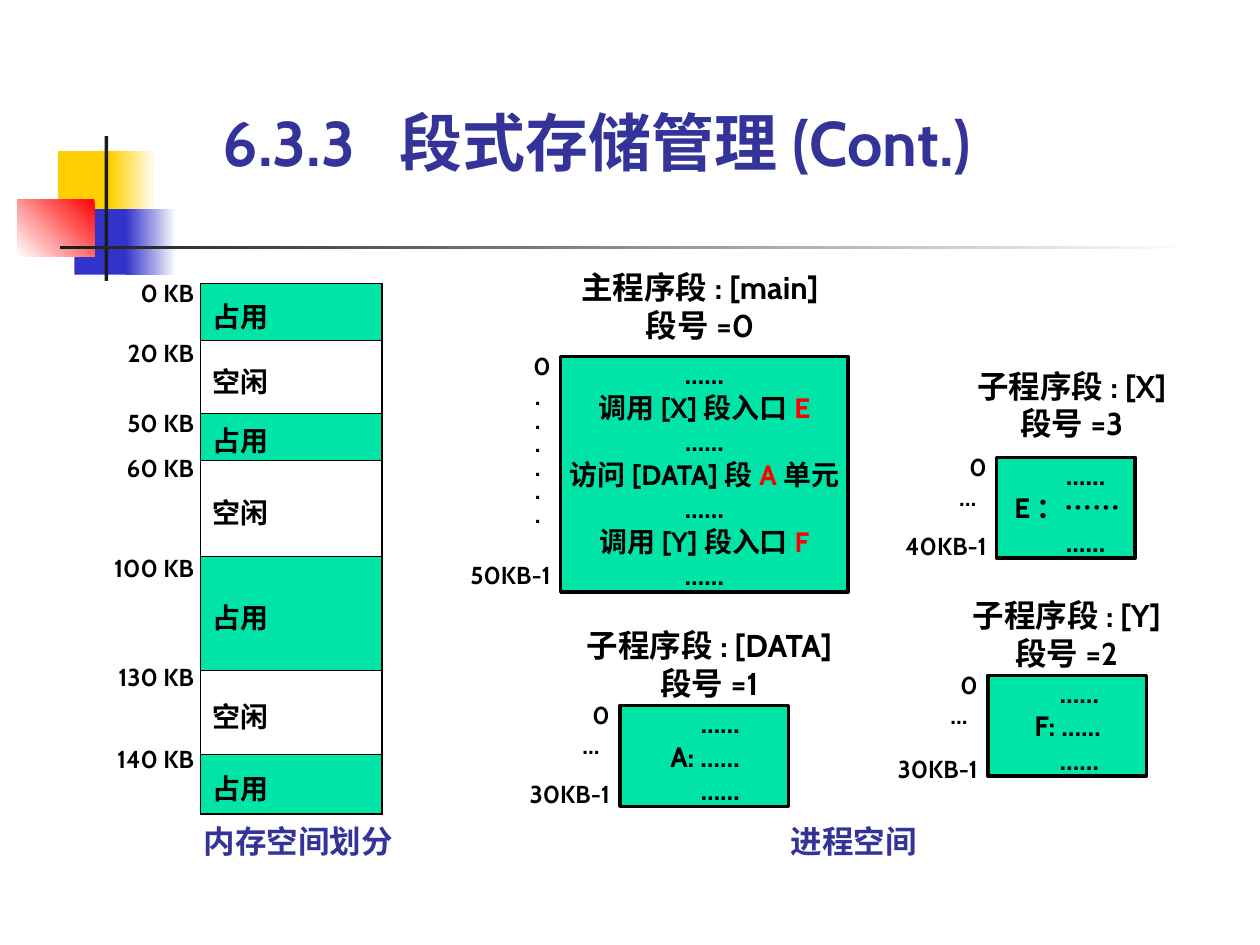
from lxml import etree
from pptx import Presentation
from pptx.dml.color import RGBColor
from pptx.enum.shapes import MSO_SHAPE
from pptx.enum.text import MSO_ANCHOR, PP_ALIGN
from pptx.oxml.ns import qn
from pptx.util import Inches, Pt

RECT = MSO_SHAPE.RECTANGLE
LEFT, CENTER, RIGHT = PP_ALIGN.LEFT, PP_ALIGN.CENTER, PP_ALIGN.RIGHT
TOP, MIDDLE, BOTTOM = MSO_ANCHOR.TOP, MSO_ANCHOR.MIDDLE, MSO_ANCHOR.BOTTOM

FONT = "Cabin"
COLORS = {
    "black": "000000", "white": "FFFFFF", "red": "FF0000", "green": "00E4A8",
    "navy": "333399", "blue": "3333CC", "yellow": "FFCF01", "ink": "1C1C1C",
}

# Position, start colour, end colour and angle (no end colour: plain fill)
DECORATION = [
    ((0.46, 1.2, 0.48, 0.52), "yellow", None, 0),
    ((0.88, 1.2, 0.36, 0.52), "white", "yellow", 180),
    ((0.59, 1.66, 0.46, 0.52), "blue", None, 0),
    ((1, 1.66, 0.4, 0.52), "white", "blue", 180),
    ((0.14, 1.58, 0.61, 0.46), "red", "white", 225),
    ((0.83, 1.08, 0.03, 1.15), "ink", None, 0),
    ((0.48, 1.95, 9, 0.03), "white", "ink", 180),
]

# Row height, label and label top for each block of memory
MEMORY = [
    (0.45, "0 KB", 2.25), (0.58, "20 KB", 2.73), (0.37, "50 KB", 3.28),
    (0.77, "60 KB", 3.64), (0.9, "100 KB", 4.43), (0.67, "130 KB", 5.3),
    (0.47, "140 KB", 5.95),
]

MAIN_LINES = [
    "……",
    [("调用[X]段入口", "black"), ("E", "red")],
    "......",
    [("访问[DATA]段", "black"), ("A", "red"), ("单元", "black")],
    "……",
    [("调用[Y]段入口", "black"), ("F", "red")],
    "……",
]

# Box, heading, heading place (left, top, width), entry, indents, last address
SUBSEGMENTS = [
    ((7.84, 5.36, 1.26, 0.8), ["子程序段: [Y]", "段号=2"], (7.6, 4.73, 1.73),
     "F: ……", (0.57, 0.37, 0.57), "30KB-1", 6.03),
    ((7.91, 3.63, 1.1, 0.8), ["子程序段: [X]", "段号=3"], (7.68, 2.91, 1.65),
     "E：……", (0.55, 0.14, 0.55), "40KB-1", 4.26),
    ((4.92, 5.6, 1.34, 0.8), ["子程序段: [DATA]", "段号=1"], (4.53, 4.97, 2.2),
     "A: ……", (0.64, 0.4, 0.64), "30KB-1", 6.23),
]


def rgb(name):
    return RGBColor.from_string(COLORS[name])


def inches(place):
    return [Inches(value) for value in place]


def write_text(frame, paras, size=14, color="black", align=LEFT, anchor=TOP,
               spacing=1.0, indents=(), tab=None, inset=0):
    """Fill a frame; a paragraph is a string or a list of (text, colour)."""
    frame.word_wrap = True
    frame.vertical_anchor = anchor
    frame.margin_left = frame.margin_right = Inches(inset)
    frame.margin_top = frame.margin_bottom = 0
    for index, content in enumerate(paras):
        para = frame.paragraphs[0] if index == 0 else frame.add_paragraph()
        para.alignment = align
        para.line_spacing = spacing
        properties = para._p.get_or_add_pPr()
        if indents:
            properties.set("marL", str(Inches(indents[index])))
        if tab:
            tabs = etree.SubElement(properties, qn("a:tabLst"))
            etree.SubElement(tabs, qn("a:tab"), pos=str(Inches(tab)), algn="l")
        spans = [(content, color)] if isinstance(content, str) else content
        for text, span_color in spans:
            span = para.add_run()
            span.text = text
            span.font.name = FONT
            span.font.size = Pt(size)
            span.font.bold = True
            span.font.color.rgb = rgb(span_color)


def add_text(page, place, paras, **style):
    box = page.shapes.add_textbox(*inches(place))
    write_text(box.text_frame, paras, **style)


def add_label(page, place, text, **style):
    add_text(page, place, [text], spacing=0.8, **style)


def add_rect(page, place, color, end_color=None, angle=0):
    rect = page.shapes.add_shape(RECT, *inches(place))
    rect.shadow.inherit = False
    rect.line.fill.background()
    if end_color:
        rect.fill.gradient()
        rect.fill.gradient_angle = angle
        for stop, name in zip(rect.fill.gradient_stops, (color, end_color)):
            stop.color.rgb = rgb(name)
    else:
        rect.fill.solid()
        rect.fill.fore_color.rgb = rgb(color)
    return rect


def set_borders(cell, widths):
    """Draw black cell borders, with widths in points by side."""
    properties = cell._tc.get_or_add_tcPr()
    for index, (side, width) in enumerate(widths.items()):
        line = etree.Element(qn(f"a:ln{side}"), w=str(Pt(width)))
        fill = etree.SubElement(line, qn("a:solidFill"))
        etree.SubElement(fill, qn("a:srgbClr"), val=COLORS["black"])
        properties.insert(index, line)


def add_memory_table(page):
    heights = [height for height, _, _ in MEMORY]
    place = inches((1.59, 2.25, 1.44, sum(heights)))
    table = page.shapes.add_table(len(heights), 1, *place).table
    table.first_row = table.horz_banding = False
    last = len(heights) - 1
    for index, height in enumerate(heights):
        table.rows[index].height = Inches(height)
        cell = table.cell(index, 0)
        used = index % 2 == 0
        write_text(cell.text_frame, ["占用" if used else "空闲"], size=16)
        cell.vertical_anchor = MIDDLE
        cell.margin_left = cell.margin_right = Inches(0.1)
        cell.margin_top, cell.margin_bottom = Inches(0.05), 0
        if used:
            cell.fill.solid()
            cell.fill.fore_color.rgb = rgb("green")
        else:
            cell.fill.background()
        set_borders(cell, {"L": 1.08, "R": 1.08,
                           "T": 1.08 if index == 0 else 0.45,
                           "B": 1.08 if index == last else 0.45})


def add_segment(page, box, lines, heading, heading_place, end, end_top,
                dots=("…",), **style):
    """Add a segment box with its heading and its addresses on the left."""
    left, top, _, height = box
    rect = add_rect(page, box, "green")
    rect.line.color.rgb = rgb("black")
    rect.line.width = Pt(2)
    write_text(rect.text_frame, lines, size=16, **style)
    add_text(page, (*heading_place, 0.6), heading, size=18, align=CENTER)
    add_label(page, (left - 0.32, top, 0.24, 0.19), "0", align=RIGHT)
    add_label(page, (left - 0.87, end_top, 0.79, 0.19), end, align=RIGHT)
    add_text(page, (left - 0.32, top + 0.24, 0.16, height - 0.43), dots,
             align=RIGHT, spacing=0.8)


def main():
    deck = Presentation()
    deck.slide_width, deck.slide_height = Inches(10), Inches(7.5)
    page = deck.slides.add_slide(deck.slide_layouts[6])
    for decoration in DECORATION:
        add_rect(page, *decoration)
    add_text(page, (1.77, 0.91, 6.93, 0.51), ["6.3.3\t段式存储管理(Cont.)"],
             size=36, color="navy", anchor=BOTTOM, spacing=0.85, tab=1.4)

    add_memory_table(page)
    for _, label, top in MEMORY:
        add_label(page, (0.83, top, 0.71, 0.19), label, align=RIGHT)

    add_segment(page, (4.45, 2.83, 2.28, 1.87), MAIN_LINES,
                ["主程序段: [main]", "段号=0"], (4.45, 2.13, 2.21),
                "50KB-1", 4.49, dots=["."] * 6, align=CENTER)
    for box, heading, place, entry, indents, end, end_top in SUBSEGMENTS:
        add_segment(page, box, ["……", entry, "……"], heading, place,
                    end, end_top, indents=indents)

    for left, caption in ((1.54, "内存空间划分"), (5.95, "进程空间")):
        add_label(page, (left, 6.58, 1.65, 0.24), caption,
                  size=18, color="navy", align=CENTER)
    deck.save("out.pptx")


if __name__ == "__main__":
    main()
